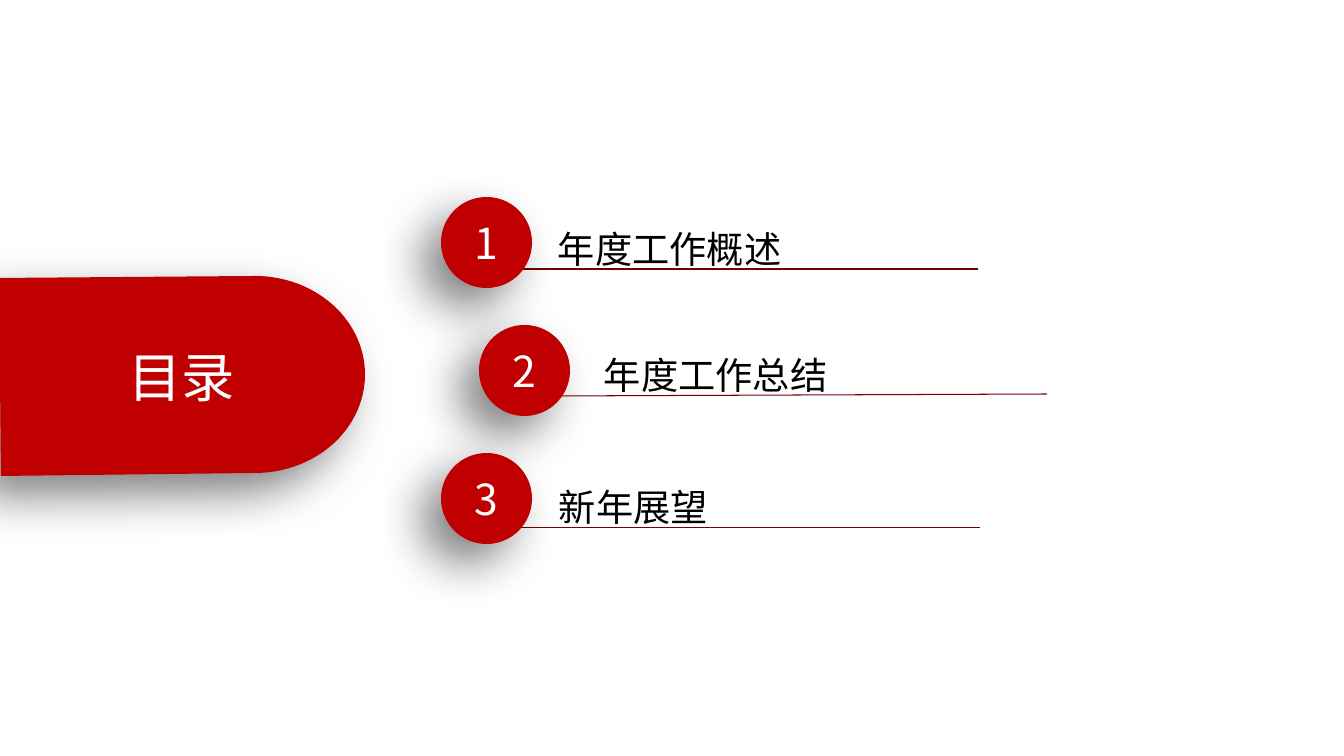
from math import cos, pi, sin

from lxml.etree import SubElement
from pptx import Presentation
from pptx.dml.color import RGBColor
from pptx.enum.shapes import MSO_CONNECTOR as Connector, MSO_SHAPE as Shape
from pptx.enum.text import MSO_ANCHOR as Anchor, MSO_AUTO_SIZE as AutoSize, PP_ALIGN as Align
from pptx.oxml.ns import qn
from pptx.util import Pt

# Content: heading and entries (text, circle left, label box, line ends), in px
HEADING = "目录"
ENTRIES = [
    ("年度工作概述", 441, (547, 220, 249, 56), (516, 269, 978, 269)),
    ("年度工作总结", 479, (593, 346, 247, 56), (554, 396, 1047, 394)),
    ("新年展望", 441, (548, 478, 172, 56), (518, 528, 980, 528)),
]
FONT = "Noto Sans CJK SC"
RED, DARK_RED, WHITE, BLACK = "C00000", "760000", "FFFFFF", "000000"
CIRCLE_TOP, CIRCLE_PITCH, CIRCLE_SIZE = 197, 128, 91
PANEL_TOP, PANEL_BOTTOM, PANEL_BEND, PANEL_RIGHT = 276, 473, 255, 365
ARC_STEPS = 60
EMU_PER_PX = 12192000 / 1344


def px(*lengths):
    return [round(length * EMU_PER_PX) for length in lengths]


def color(value):
    return RGBColor.from_string(value)


def write(shape, text, size, text_color, align, anchor):
    frame = shape.text_frame
    frame.text = text
    frame.vertical_anchor = anchor
    para = frame.paragraphs[0]
    para.alignment = align
    font = para.font
    font.size, font.name, font.bold = Pt(size), FONT, False
    font.color.rgb = color(text_color)
    SubElement(para._p.pPr.find(qn("a:defRPr")), qn("a:ea"), typeface=FONT)
    return frame


def fill_with_shadow(shape):
    shape.fill.solid()
    shape.fill.fore_color.rgb = color(RED)
    shape.line.fill.background()
    shape.shadow.inherit = False
    effects = shape._element.spPr.find(qn("a:effectLst"))
    shadow = SubElement(effects, qn("a:outerShdw"), blurRad=str(Pt(35)), dist=str(Pt(20)),
                        dir=str(135 * 60000), algn="tr", rotWithShape="0")
    shade = SubElement(shadow, qn("a:srgbClr"), val=BLACK)
    SubElement(shade, qn("a:alpha"), val="50000")


deck = Presentation()
deck.slide_width, deck.slide_height = px(1344, 756)
page = deck.slides.add_slide(deck.slide_layouts[5])
shapes = page.shapes

# Underlines
for _, _, _, ends in ENTRIES:
    line = shapes.add_connector(Connector.STRAIGHT, *px(*ends))
    line.line.color.rgb = color(DARK_RED)
    line.line.width = Pt(0.75)
    SubElement(line._element.spPr, qn("a:effectLst"))

# Heading panel with a rounded right end
middle = (PANEL_TOP + PANEL_BOTTOM) / 2
radius_x, radius_y = PANEL_RIGHT - PANEL_BEND, (PANEL_BOTTOM - PANEL_TOP) / 2
angles = [pi * step / ARC_STEPS - pi / 2 for step in range(ARC_STEPS + 1)]
arc = [px(PANEL_BEND + radius_x * cos(angle), middle + radius_y * sin(angle)) for angle in angles]
outline = shapes.build_freeform(*px(-1, 278))
outline.add_line_segments(arc + [px(1, 476)], close=True)
panel = outline.convert_to_shape()
fill_with_shadow(panel)

# Title on top of the panel
title = shapes.title
title.left, title.top, title.width, title.height = panel.left, panel.top, panel.width, panel.height
panel.element.addnext(title.element)
write(title, HEADING, 38.1, WHITE, Align.CENTER, Anchor.MIDDLE).auto_size = AutoSize.NONE

# Numbered circles and labels
for index, (label, left, label_box, _) in enumerate(ENTRIES):
    top = CIRCLE_TOP + index * CIRCLE_PITCH
    circle = shapes.add_shape(Shape.OVAL, *px(left, top, CIRCLE_SIZE, CIRCLE_SIZE))
    fill_with_shadow(circle)
    write(circle, str(index + 1), 30.5, WHITE, Align.CENTER, Anchor.MIDDLE)

    box = shapes.add_textbox(*px(*label_box))
    frame = write(box, label, 26.6, BLACK, Align.LEFT, Anchor.TOP)
    frame.word_wrap = False
    frame.auto_size = AutoSize.SHAPE_TO_FIT_TEXT
    frame.margin_left, frame.margin_top, frame.margin_right, frame.margin_bottom = px(11, 6, 11, 6)

deck.save("out.pptx")
